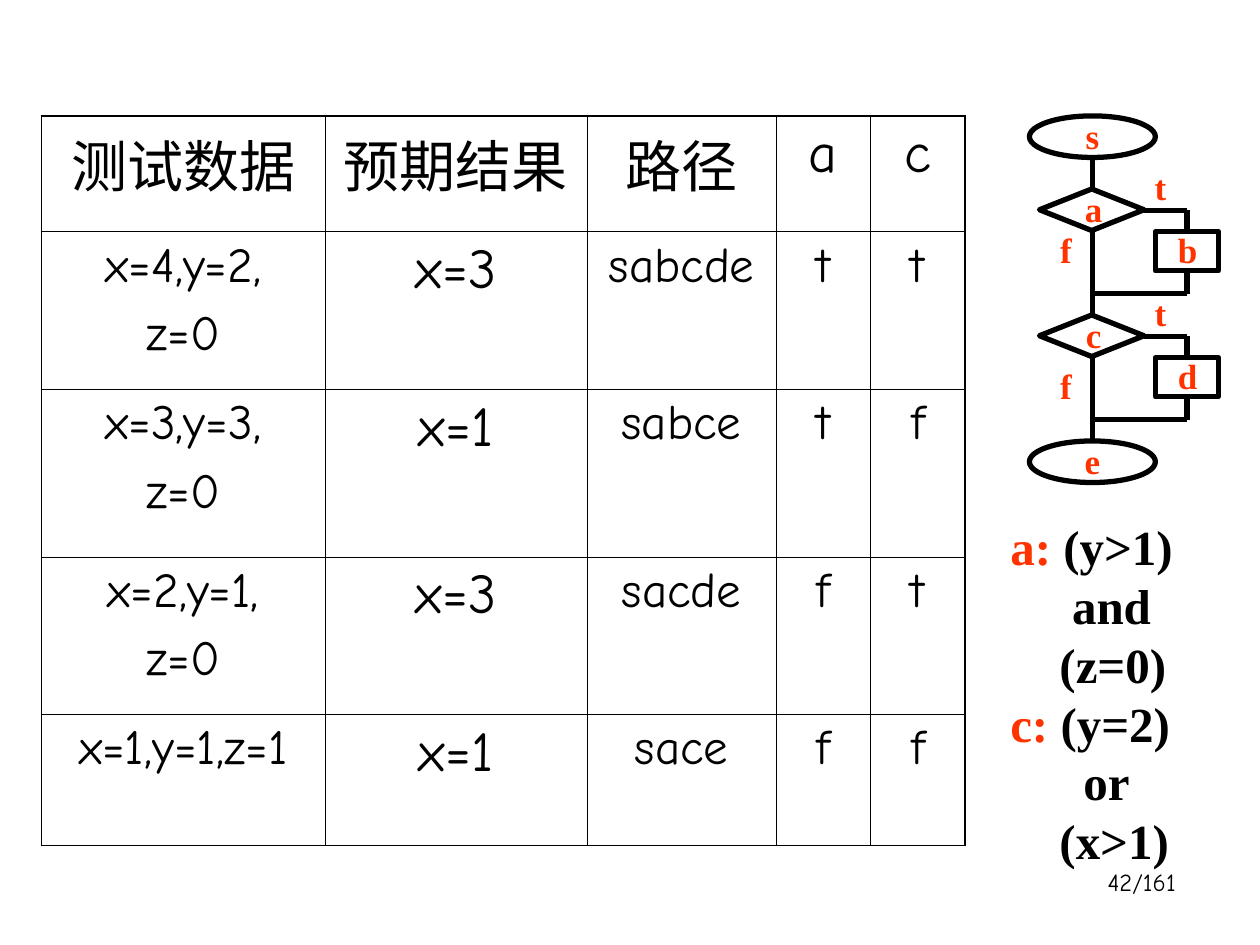
from lxml import etree
from pptx import Presentation
from pptx import util as u
from pptx.dml.color import RGBColor
from pptx.enum import shapes, text
from pptx.oxml.ns import qn

COLORS = {"ink": "000000", "accent": "FF3300"}
TABLE_FONT, CHART_FONT = "Comic Neue", "Times New Roman"
OUTER, INNER = 1.08, 0.45


class SlideKit:
    def __init__(self, slide):
        self.slide = slide

    def color(self, name):
        return RGBColor.from_string(COLORS[name])

    def box(self, left, top, width, height):
        return [u.Inches(v) for v in (left, top, width, height)]

    def style(self, font, size, face, color="ink", bold=False):
        font.size, font.name, font.bold = u.Pt(size), face, bold
        font.color.rgb = self.color(color)

    def outline(self, kind, *place):
        node = self.slide.shapes.add_shape(kind, *self.box(*place))
        node.shadow.inherit = False
        node.fill.background()
        node.line.color.rgb = self.color("ink")
        node.line.width = u.Pt(3)

    def line(self, x1, y1, x2, y2):
        link = self.slide.shapes.add_connector(
            shapes.MSO_CONNECTOR.STRAIGHT, *self.box(x1, y1, x2, y2))
        link.line.color.rgb = self.color("ink")
        link.line.width = u.Pt(3)
        etree.SubElement(link._element.spPr, qn("a:effectLst"))

    def route(self, *points):
        for start, end in zip(points, points[1:]):
            self.line(*start, *end)

    def frame(self, place, wrap=True, anchor=text.MSO_ANCHOR.MIDDLE):
        frame = self.slide.shapes.add_textbox(*self.box(*place)).text_frame
        frame.word_wrap, frame.vertical_anchor = wrap, anchor
        return frame

    def label(self, letter, center, middle):
        frame = self.frame((center - 0.17, middle - 0.22, 0.34, 0.45), wrap=False)
        frame.text = letter
        line = frame.paragraphs[0]
        line.alignment, line.line_spacing = text.PP_ALIGN.CENTER, 1.05
        self.style(line.runs[0].font, 20, CHART_FONT, "accent", True)

    def page_number(self, number, *place):
        frame = self.frame(place, anchor=text.MSO_ANCHOR.TOP)
        frame.text = number
        frame.paragraphs[0].alignment = text.PP_ALIGN.RIGHT
        self.style(frame.paragraphs[0].runs[0].font, 14, TABLE_FONT)

    def conditions(self, lines, *place):
        """Each line is (indent in inches, [(words, colour), ...])."""
        frame = self.frame(place)
        for i, (indent, parts) in enumerate(lines):
            line = frame.add_paragraph() if i else frame.paragraphs[0]
            line._p.get_or_add_pPr().set("marL", str(u.Inches(indent)))
            for words, color in parts:
                run = line.add_run()
                run.text = words
                self.style(run.font, 28, CHART_FONT, color, True)

    def borders(self, cell, widths):
        props = cell._tc.get_or_add_tcPr()
        for side, width in zip("LRTB", widths):
            edge = etree.SubElement(props, qn(f"a:ln{side}"), w=str(u.Pt(width)))
            fill = etree.SubElement(edge, qn("a:solidFill"))
            etree.SubElement(fill, qn("a:srgbClr"), val=COLORS["ink"])
        cell.fill.background()

    def table(self, rows, widths, heights, left, top):
        grid = self.slide.shapes.add_table(
            len(rows), len(widths),
            *self.box(left, top, sum(widths), sum(heights))).table
        grid.first_row = grid.horz_banding = False
        for column, width in zip(grid.columns, widths):
            column.width = u.Inches(width)
        for row, height in zip(grid.rows, heights):
            row.height = u.Inches(height)
        last_row, last_col = len(rows) - 1, len(widths) - 1
        for r, row in enumerate(rows):
            for c, words in enumerate(row):
                cell = grid.cell(r, c)
                cell.text_frame.text = words
                size = 32 if r == 0 or c == 1 else 28
                for i, line in enumerate(cell.text_frame.paragraphs):
                    line.alignment = text.PP_ALIGN.CENTER
                    if i:
                        line.space_before = u.Pt(7)
                    self.style(line.runs[0].font, size, TABLE_FONT)
                at_edge = (c == 0, c == last_col, r == 0, r == last_row)
                self.borders(cell, [OUTER if e else INNER for e in at_edge])


def main():
    deck = Presentation()
    deck.slide_width, deck.slide_height = u.Inches(10), u.Inches(7.5)
    kit = SlideKit(deck.slides.add_slide(deck.slide_layouts[6]))
    kit.page_number("42/161", 7.35, 6.83, 2.08, 0.5)

    # Flowchart: start and end, then two decisions one inch apart
    shape = shapes.MSO_SHAPE
    trunk, branch = 8.67, 9.42
    for letter, top in (("s", 0.92), ("e", 3.5)):
        kit.outline(shape.OVAL, trunk - 0.5, top, 1, 0.33)
        kit.label(letter, trunk, top + 0.14)
    kit.line(trunk, 1.25, trunk, 1.5)
    for decision, action, top, false_middle in (("a", "b", 1.5, 1.97),
                                                ("c", "d", 2.5, 3.05)):
        kit.outline(shape.DIAMOND, trunk - 0.42, top, 0.83, 0.33)
        kit.label(decision, trunk + 0.01, top + 0.14)
        kit.outline(shape.RECTANGLE, branch - 0.25, top + 0.34, 0.5, 0.31)
        kit.label(action, branch, top + 0.47)
        kit.route((trunk + 0.41, top + 0.17), (branch, top + 0.17),
                  (branch, top + 0.33))
        kit.route((branch, top + 0.67), (branch, top + 0.83),
                  (trunk, top + 0.83))
        kit.line(trunk, top + 0.33, trunk, top + 1)
        kit.label("t", 9.21, top - 0.03)
        kit.label("f", 8.46, false_middle)

    # Decision conditions
    kit.conditions([
        (0, [("a: ", "accent"), ("(y>1)", "ink")]),
        (0.49, [("and", "ink")]),
        (0.39, [("(z=0)", "ink")]),
        (0, [("c: ", "accent"), ("(y=2)", "ink")]),
        (0.58, [("or", "ink")]),
        (0.39, [("(x>1)", "ink")]),
    ], 7.92, 4.05, 1.58, 2.9)

    # Test cases
    test_cases = [
        ["测试数据", "预期结果", "路径", "a", "c"],
        ["x=4,y=2,\nz=0", "x=3", "sabcde", "t", "t"],
        ["x=3,y=3,\nz=0", "x=1", "sabce", "t", "f"],
        ["x=2,y=1,\nz=0", "x=3", "sacde", "f", "t"],
        ["x=1,y=1,z=1", "x=1", "sace", "f", "f"],
    ]
    kit.table(test_cases, [2.25, 2.08, 1.5, 0.75, 0.75],
              [0.92, 1.25, 1.33, 1.25, 1.04], 0.33, 0.92)
    deck.save("out.pptx")


if __name__ == "__main__":
    main()
